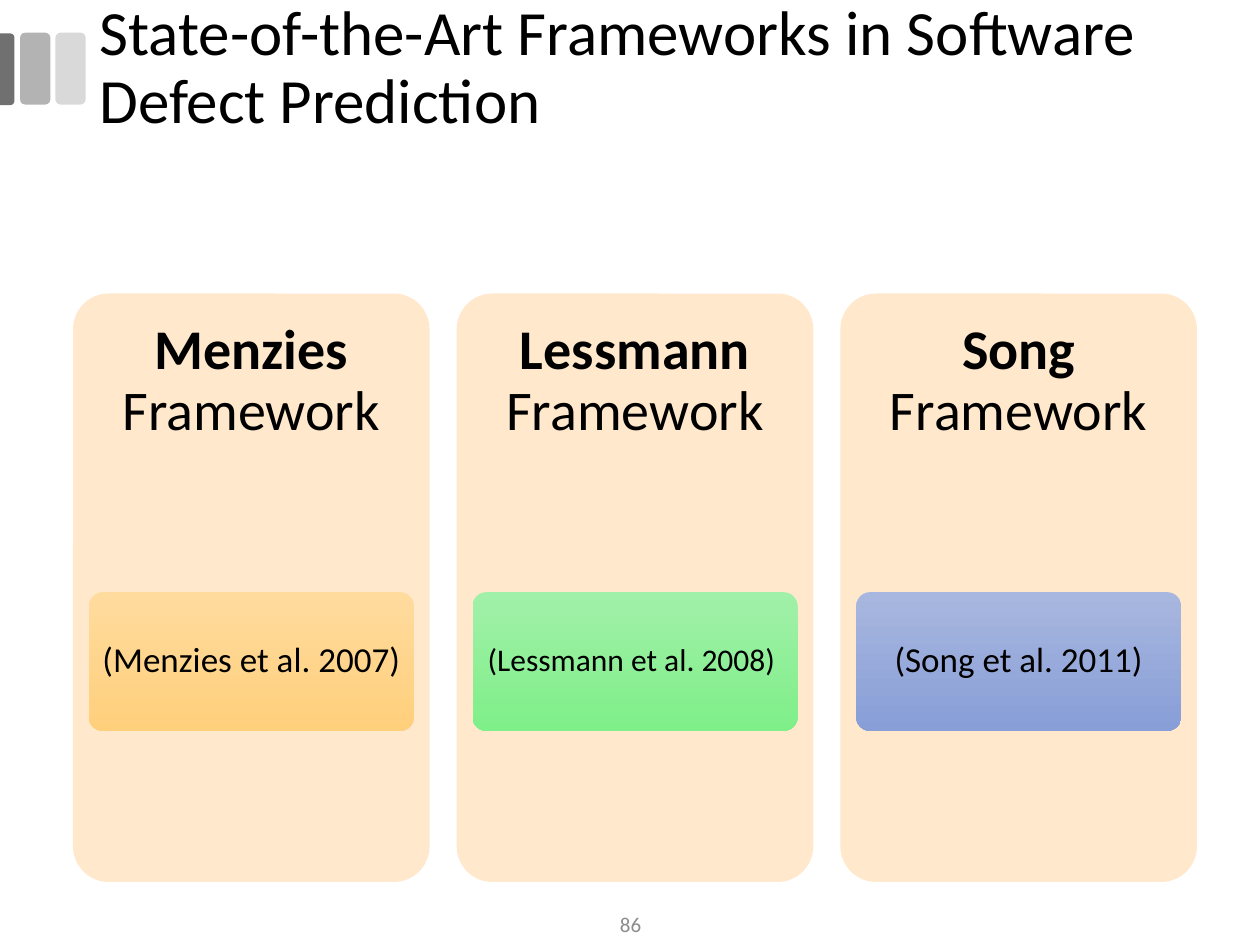
from pptx import Presentation
from pptx.dml.color import RGBColor
from pptx.enum.shapes import MSO_SHAPE
from pptx.enum.text import MSO_ANCHOR, PP_ALIGN
from pptx.util import Inches, Pt

TITLE = "State-of-the-Art Frameworks in Software Defect Prediction"
PAGE = "86"
CARDS = [
    ("Menzies", "(Menzies et al. 2007)", 20, RGBColor(0xFF, 0xDB, 0x9E), RGBColor(0xFF, 0xD0, 0x7C)),
    ("Lessmann", "(Lessmann et al. 2008) ", 18, RGBColor(0xA1, 0xF0, 0xA9), RGBColor(0x7F, 0xEF, 0x89)),
    ("Song", "(Song et al. 2011)", 20, RGBColor(0xA8, 0xB7, 0xDF), RGBColor(0x88, 0x9E, 0xD7)),
]
BLACK = RGBColor(0, 0, 0)
CREAM = RGBColor(0xFF, 0xE8, 0xCC)
DARK = RGBColor(0x70, 0x70, 0x70)
MID = RGBColor(0xB3, 0xB3, 0xB3)
PALE = RGBColor(0xD9, 0xD9, 0xD9)
GREY = RGBColor(0x8C, 0x8C, 0x8C)
FONT = "Calibri"
LEFT, TOP, WIDE, HIGH, STEP = 0.58, 2.33, 2.83, 4.67, 3.045
PILL_W, PILL_H, PILL_TOP = 2.58, 1.1, 4.7


def add_block(slide, kind, box, color=None, round_by=None):
    shape = slide.shapes.add_shape(kind, *map(Inches, box))
    shape.shadow.inherit = False
    shape.line.fill.background()
    if color is not None:
        shape.fill.solid()
        shape.fill.fore_color.rgb = color
    if round_by is not None:
        shape.adjustments[0] = round_by
    return shape


def set_text(shape, parts, size, color=BLACK, pad=(0.1, 0.05), align=PP_ALIGN.CENTER, space=0.9):
    frame = shape.text_frame
    frame.word_wrap = True
    frame.vertical_anchor = MSO_ANCHOR.MIDDLE
    frame.margin_left = frame.margin_right = Inches(pad[0])
    frame.margin_top = frame.margin_bottom = Inches(pad[1])
    para = frame.paragraphs[0]
    para.alignment = align
    para.line_spacing = space
    para.font.name = FONT
    para.font.size = Pt(size)
    para.font.color.rgb = color
    for words, bold in parts:
        run = para.add_run()
        run.text = words
        run.font.bold = bold


def add_tabs(slide):
    for left, color in ((0.44, PALE), (0.16, MID)):
        add_block(slide, MSO_SHAPE.ROUNDED_RECTANGLE, (left, 0.26, 0.24, 0.57), color)
    edge = add_block(slide, MSO_SHAPE.ROUND_2_SAME_RECTANGLE, (-0.23, 0.49, 0.57, 0.12), DARK, 0.29)
    edge.rotation = 90


def add_card(slide, left, name, cite, size, light, deep):
    add_block(slide, MSO_SHAPE.ROUNDED_RECTANGLE, (left, TOP, WIDE, HIGH), CREAM, 0.1)
    head = slide.shapes.add_textbox(*map(Inches, (left, TOP, WIDE, 1.4)))
    set_text(head, [(name, True), (" Framework", False)], 32, pad=(0.13, 0.13))
    box = (left + (WIDE - PILL_W) / 2, PILL_TOP, PILL_W, PILL_H)
    pill = add_block(slide, MSO_SHAPE.ROUNDED_RECTANGLE, box, round_by=0.1)
    pill.fill.gradient()
    pill.fill.gradient_angle = 270
    for stop, color in zip(pill.fill.gradient_stops, (light, deep)):
        stop.color.rgb = color
    set_text(pill, [(cite, False)], size, pad=(0.06, 0.04))


def main():
    """Build the slide on software defect prediction frameworks."""
    deck = Presentation()
    deck.slide_width, deck.slide_height = Inches(10), Inches(7.5)
    slide = deck.slides.add_slide(deck.slide_layouts[5])
    add_tabs(slide)
    title = slide.shapes.title
    title.left, title.top, title.width, title.height = map(Inches, (0.69, 0.17, 9.3, 0.75))
    set_text(title, [(TITLE, False)], 36, align=PP_ALIGN.LEFT)
    for i, card in enumerate(CARDS):
        add_card(slide, LEFT + i * STEP, *card)
    foot = slide.shapes.add_textbox(*map(Inches, (3.88, 7.17, 2.25, 0.33)))
    set_text(foot, [(PAGE, False)], 12, GREY, space=1.0)
    deck.save("out.pptx")


if __name__ == "__main__":
    main()
